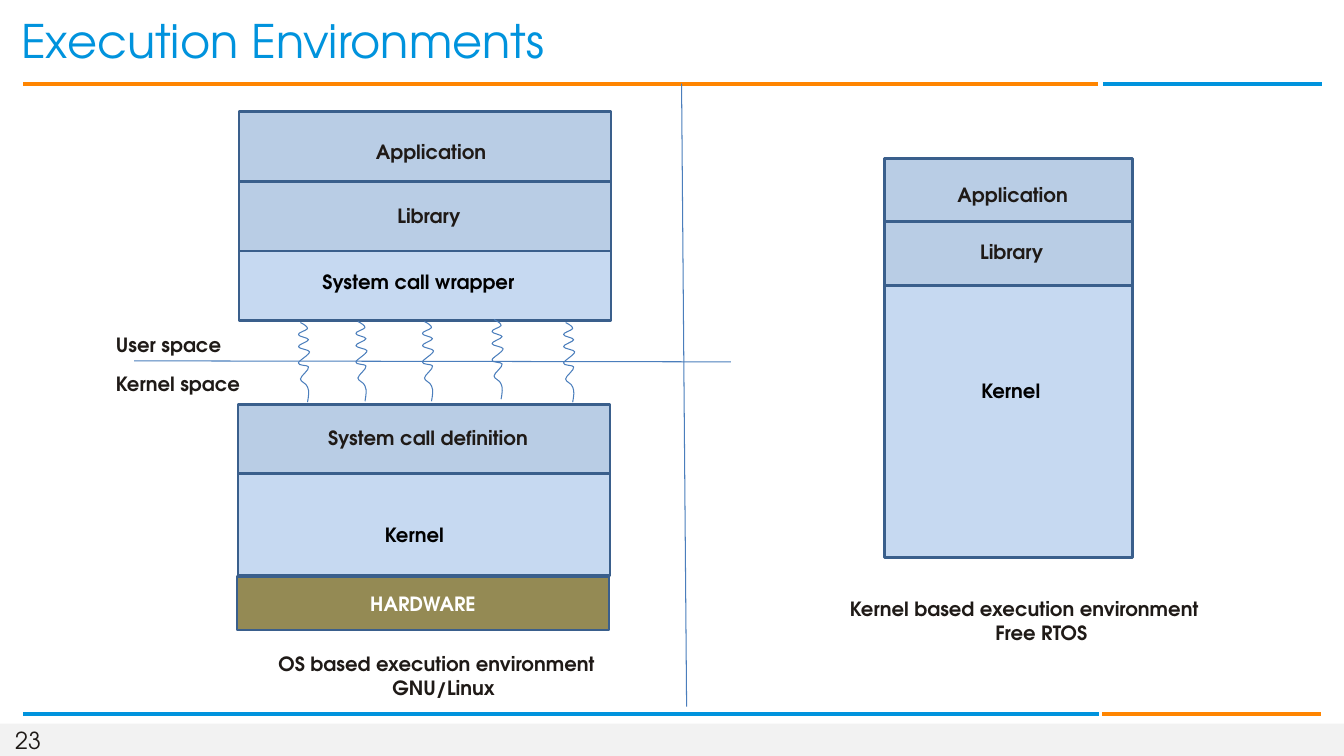
from dataclasses import dataclass
from itertools import chain

from lxml.etree import SubElement
from pptx import Presentation
from pptx.dml.color import RGBColor
from pptx.enum.shapes import MSO_CONNECTOR, MSO_SHAPE
from pptx.enum.text import MSO_ANCHOR, PP_ALIGN
from pptx.oxml.ns import qn
from pptx.util import Inches, Pt


@dataclass(frozen=True)
class Theme:
    font: str = "TeX Gyre Adventor"
    ink: str = "1F1A17"
    black: str = "000000"
    white: str = "FFFFFF"
    blue: str = "0093DD"
    orange: str = "FF8500"
    footer: str = "F2F2F2"
    upper_layer: str = "B9CDE5"
    lower_layer: str = "C6D9F1"
    hardware: str = "948A54"
    outline: str = "3A5F8C"
    thin_line: str = "4B7EBC"
    title_size: float = 33
    number_size: float = 16.7
    label_size: float = 14
    rule_width: float = 3
    outline_width: float = 2
    thin_width: float = 0.75


THEME = Theme()


@dataclass(frozen=True)
class Layer:
    left: float
    top: float
    width: float
    height: float
    fill: str
    outline: str | None = THEME.outline
    text: str = ""


@dataclass(frozen=True)
class Label:
    left: float
    top: float
    width: float
    height: float
    lines: tuple[str, ...]
    aligns: tuple[PP_ALIGN, ...] = (PP_ALIGN.CENTER,)
    color: str = THEME.ink
    size: float = THEME.label_size
    bold: bool = True
    wrap: bool = True
    margins: tuple[float, float] = (0.07, 0.04)


@dataclass(frozen=True)
class Rule:
    start: tuple[float, float]
    end: tuple[float, float]
    color: str = THEME.thin_line
    width: float = THEME.thin_width


CAPTION_ALIGNS = (PP_ALIGN.LEFT, PP_ALIGN.CENTER)
LEFT = (PP_ALIGN.LEFT,)
OS_WIDTH, OS_ROW = 3.69, 0.69
RTOS_LEFT, RTOS_WIDTH, RTOS_ROW = 8.77, 2.46, 0.63

FOOTER = Layer(0, 7.18, 13.33, 0.32, THEME.footer, None)
RULES = (
    Rule((0.23, 0.83), (10.89, 0.83), THEME.orange, THEME.rule_width),
    Rule((10.94, 0.83), (13.11, 0.83), THEME.blue, THEME.rule_width),
    Rule((0.23, 7.08), (10.9, 7.08), THEME.blue, THEME.rule_width),
    Rule((10.93, 7.08), (13.1, 7.08), THEME.orange, THEME.rule_width),
    Rule((1.33, 3.58), (7.25, 3.59)),
    Rule((6.76, 0.83), (6.81, 7.01)),
)
LAYERS = (
    Layer(2.37, 2.49, OS_WIDTH, OS_ROW, THEME.lower_layer),
    Layer(2.37, 1.11, OS_WIDTH, OS_ROW, THEME.upper_layer),
    Layer(2.37, 1.8, OS_WIDTH, OS_ROW, THEME.upper_layer),
    Layer(2.36, 4.7, OS_WIDTH, 1.01, THEME.lower_layer),
    Layer(2.36, 4.01, OS_WIDTH, OS_ROW, THEME.upper_layer),
    Layer(RTOS_LEFT, 2.83, RTOS_WIDTH, 2.7, THEME.lower_layer),
    Layer(RTOS_LEFT, 1.57, RTOS_WIDTH, RTOS_ROW, THEME.upper_layer),
    Layer(RTOS_LEFT, 2.2, RTOS_WIDTH, RTOS_ROW, THEME.upper_layer),
    Layer(2.35, 5.72, OS_WIDTH, 0.53, THEME.hardware, text="HARDWARE"),
)
LABELS = (
    Label(0.15, 7.2, 0.28, 0.28, ("23",), LEFT, size=THEME.number_size,
          bold=False, wrap=False, margins=(0, 0)),
    Label(2.83, 1.35, 2.89, 0.31, ("Application",)),
    Label(2.81, 1.98, 2.89, 0.31, ("Library",)),
    Label(2.99, 2.64, 2.32, 0.31, ("System call wrapper",), color=THEME.black),
    Label(2.8, 4.19, 2.89, 0.31, ("System call definition",)),
    Label(2.95, 5.15, 2.32, 0.31, ("Kernel",), color=THEME.black),
    Label(1.08, 3.26, 1.3, 0.31, ("User space",), LEFT),
    Label(1.08, 3.65, 1.67, 0.31, ("Kernel space",), LEFT),
    Label(2.69, 6.43, 3.42, 0.55, ("OS based execution environment", "GNU/Linux"), CAPTION_ALIGNS),
    Label(9.08, 1.79, 1.93, 0.28, ("Application",)),
    Label(9.07, 2.36, 1.93, 0.28, ("Library",)),
    Label(9.25, 3.74, 1.55, 0.28, ("Kernel",), color=THEME.black),
    Label(8.36, 5.88, 3.94, 0.55, ("Kernel based execution environment", "Free RTOS"), CAPTION_ALIGNS),
)

CALL_ORIGINS = ((2.95, 3.2), (3.52, 3.19), (4.18, 3.19), (4.87, 3.17), (5.58, 3.2))
CALL_START = (0.03, 0.0)
CALL_CURVES = (
    ((0.07, 0.02), (0.1, 0.04), (0.1, 0.06)),
    ((0.09, 0.08), (0.0, 0.1), (0.01, 0.12)),
    ((0.01, 0.14), (0.11, 0.15), (0.11, 0.17)),
    ((0.11, 0.19), (0.0, 0.22), (0.01, 0.24)),
    ((0.01, 0.26), (0.12, 0.27), (0.12, 0.29)),
    ((0.12, 0.32), (0.01, 0.38), (0.01, 0.4)),
    ((0.0, 0.43), (0.11, 0.42), (0.11, 0.44)),
    ((0.12, 0.47), (0.03, 0.53), (0.03, 0.56)),
    ((0.03, 0.59), (0.09, 0.6), (0.1, 0.64)),
    ((0.12, 0.68), (0.11, 0.73), (0.1, 0.79)),
)


def color_of(value: str) -> RGBColor:
    return RGBColor.from_string(value)


def style_line(line, color: str, width: float) -> None:
    line.color.rgb = color_of(color)
    line.width = Pt(width)


def write(frame, lines: tuple[str, ...], aligns: tuple[PP_ALIGN, ...], color: str,
          size: float, bold: bool, margins: tuple[float, float] = (0.07, 0.04)) -> None:
    frame.text = "\n".join(lines)
    frame.vertical_anchor = MSO_ANCHOR.MIDDLE
    frame.margin_left = frame.margin_right = Inches(margins[0])
    frame.margin_top = frame.margin_bottom = Inches(margins[1])
    for paragraph, align in zip(frame.paragraphs, aligns):
        paragraph.alignment = align
        for run in paragraph.runs:
            run.font.name = THEME.font
            run.font.size = Pt(size)
            run.font.bold = bold
            run.font.color.rgb = color_of(color)


def box_of(item: Layer | Label) -> tuple[int, int, int, int]:
    return Inches(item.left), Inches(item.top), Inches(item.width), Inches(item.height)


def draw_layer(slide, layer: Layer) -> None:
    block = slide.shapes.add_shape(MSO_SHAPE.RECTANGLE, *box_of(layer))
    block.shadow.inherit = False
    block.fill.solid()
    block.fill.fore_color.rgb = color_of(layer.fill)
    if layer.outline:
        style_line(block.line, layer.outline, THEME.outline_width)
    else:
        block.line.fill.background()
    if layer.text:
        write(block.text_frame, (layer.text,), (PP_ALIGN.CENTER,), THEME.white, THEME.label_size, True)


def draw_label(slide, label: Label) -> None:
    frame = slide.shapes.add_textbox(*box_of(label)).text_frame
    frame.word_wrap = label.wrap
    write(frame, label.lines, label.aligns, label.color, label.size, label.bold, label.margins)


def draw_rule(slide, rule: Rule) -> None:
    ends = [Inches(value) for value in rule.start + rule.end]
    connector = slide.shapes.add_connector(MSO_CONNECTOR.STRAIGHT, *ends)
    style_line(connector.line, rule.color, rule.width)
    SubElement(connector._element.spPr, qn("a:effectLst"))


def draw_system_call(slide, origin: tuple[float, float]) -> None:
    points = (CALL_START, *chain.from_iterable(CALL_CURVES))
    start, *controls = [(Inches(origin[0] + x), Inches(origin[1] + y)) for x, y in points]
    builder = slide.shapes.build_freeform(*start)
    builder.add_line_segments(controls, close=False)
    wave = builder.convert_to_shape()
    outline = next(wave._element.iter(qn("a:path")))
    segments = outline.findall(qn("a:lnTo"))
    for first in range(0, len(segments), 3):
        curve = SubElement(outline, qn("a:cubicBezTo"))
        for segment in segments[first:first + 3]:
            curve.append(segment[0])
            outline.remove(segment)
    wave.shadow.inherit = False
    wave.fill.background()
    style_line(wave.line, THEME.thin_line, THEME.thin_width)


def main() -> None:
    deck = Presentation()
    deck.slide_width, deck.slide_height = Inches(13.33), Inches(7.5)
    slide = deck.slides.add_slide(deck.slide_layouts[5])
    title = slide.shapes.title
    title.left, title.top, title.width, title.height = map(Inches, (0.14, 0.11, 11.94, 0.58))
    write(title.text_frame, ("Execution Environments",), LEFT, THEME.blue, THEME.title_size, False)
    for layer in (FOOTER, *LAYERS):
        draw_layer(slide, layer)
    for rule in RULES:
        draw_rule(slide, rule)
    for origin in CALL_ORIGINS:
        draw_system_call(slide, origin)
    for label in LABELS:
        draw_label(slide, label)
    deck.save("out.pptx")


if __name__ == "__main__":
    main()
